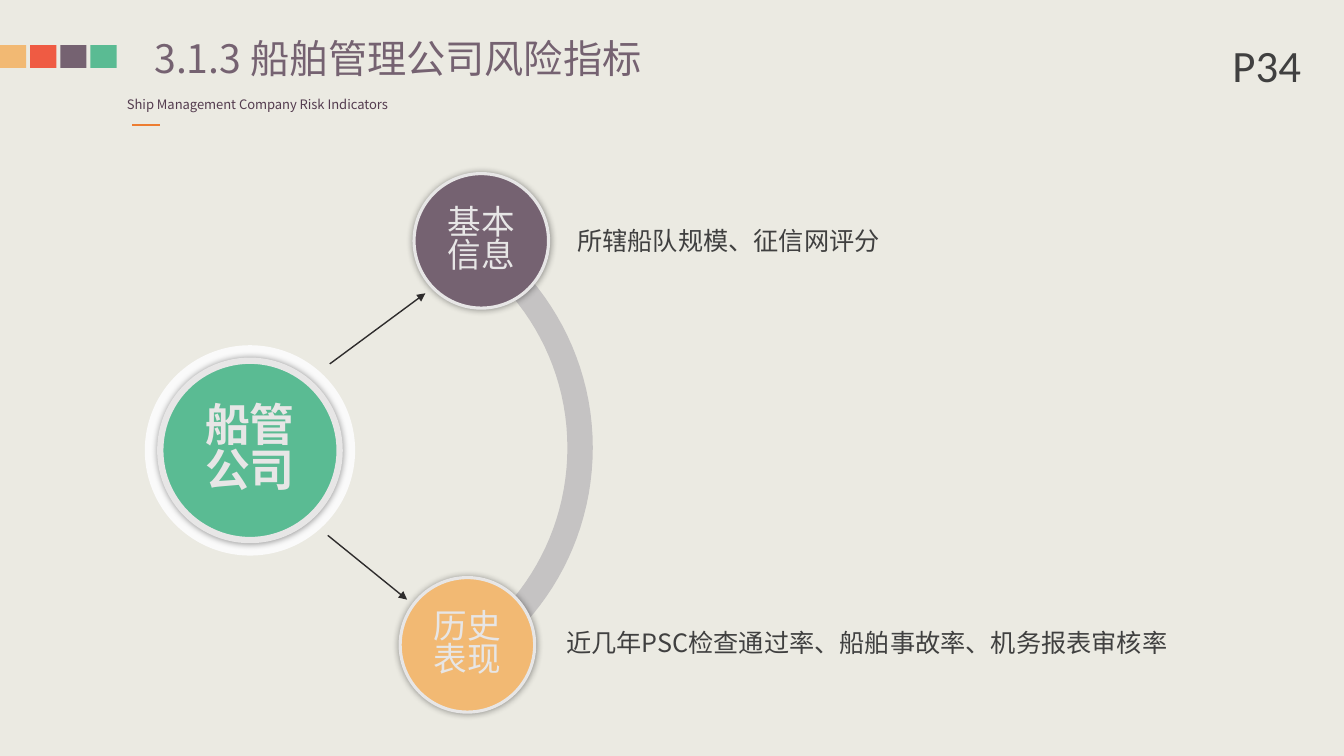
import pptx
import pptx.util
import pptx.dml.color
import pptx.enum.shapes
import pptx.enum.text
import pptx.oxml
import pptx.oxml.ns

Cm = pptx.util.Cm
Pt = pptx.util.Pt
Shape = pptx.enum.shapes.MSO_SHAPE
Align = pptx.enum.text.PP_ALIGN

HUES = {
    "paper": "EBEAE2", "gold": "F2B973", "red": "EF5B43", "plum": "756271",
    "green": "5ABB93", "wine": "543C4F", "orange": "ED7D31", "band": "C5C3C3",
    "ink": "2E2C2C", "rim": "E7E6E6", "halo": "FAFAFA", "text": "404040",
}


def curve(start, one, two, end, steps=24):
    points = []
    for step in range(1, steps + 1):
        t = step / steps
        u = 1 - t
        points.append(tuple(
            u**3 * a + 3 * u * u * t * b + 3 * u * t * t * c + t**3 * d
            for a, b, c, d in zip(start, one, two, end)))
    return points


class Deck:
    font = "Noto Sans CJK SC"

    def __init__(self, slide):
        self.slide = slide
        self.shapes = slide.shapes
        self.paint(slide.background.fill, "paper")

    def hue(self, name):
        return pptx.dml.color.RGBColor.from_string(HUES[name])

    def paint(self, fill, name):
        fill.solid()
        fill.fore_color.rgb = self.hue(name)

    def solid(self, kind, x, y, w, h, fill):
        shape = self.shapes.add_shape(kind, Cm(x), Cm(y), Cm(w), Cm(h))
        shape.shadow.inherit = False
        self.paint(shape.fill, fill)
        shape.line.fill.background()
        return shape

    def disc(self, x, y, size, fill):
        return self.solid(Shape.OVAL, x - size / 2, y - size / 2, size, size, fill)

    def text(self, words, x, y, w, h, size, color, align=Align.LEFT,
             font=None, bold=False, inset=True, wrap=True, lead=None):
        box = self.shapes.add_textbox(Cm(x), Cm(y), Cm(w), Cm(h))
        frame = box.text_frame
        frame.word_wrap = wrap
        frame.vertical_anchor = pptx.enum.text.MSO_ANCHOR.MIDDLE
        if not inset:
            frame.margin_left = frame.margin_right = 0
            frame.margin_top = frame.margin_bottom = 0
        frame.text = words
        line = frame.paragraphs[0]
        line.alignment = align
        if lead:
            line.line_spacing = lead
        style = line.runs[0].font
        style.name = font or self.font
        style.size = Pt(size)
        style.bold = bold
        style.color.rgb = self.hue(color)
        east = pptx.oxml.parse_xml(
            f'<a:ea {pptx.oxml.ns.nsdecls("a")} typeface="{self.font}"/>')
        style._element.find(pptx.oxml.ns.qn("a:latin")).addnext(east)

    def node(self, words, x, y, size, fill, rim, w, h, points, bold=False):
        disc = self.disc(x, y, size, fill)
        disc.line.color.rgb = self.hue("rim")
        disc.line.width = Pt(rim)
        glow = pptx.oxml.parse_xml(
            f'<a:outerShdw {pptx.oxml.ns.nsdecls("a")} blurRad="{Pt(5)}" dist="0" '
            'dir="0" algn="ctr" rotWithShape="0"><a:srgbClr val="000000">'
            '<a:alpha val="40000"/></a:srgbClr></a:outerShdw>')
        disc._element.spPr.find(pptx.oxml.ns.qn("a:effectLst")).append(glow)
        self.text(words, x - w / 2, y - h / 2, w, h, points, "rim",
                  Align.CENTER, bold=bold, lead=0.83)

    def line(self, start, end, color, width, arrow=False):
        line = self.shapes.add_connector(
            pptx.enum.shapes.MSO_CONNECTOR.STRAIGHT, *map(Cm, start + end))
        line.line.color.rgb = self.hue(color)
        line.line.width = Pt(width)
        names = pptx.oxml.ns.nsdecls("a")
        if arrow:
            line.line._get_or_add_ln().append(
                pptx.oxml.parse_xml(f'<a:tailEnd {names} type="triangle"/>'))
        line._element.spPr.append(pptx.oxml.parse_xml(f'<a:effectLst {names}/>'))

    def band(self, start, points, fill):
        form = self.shapes.build_freeform(*map(Cm, start))
        form.add_line_segments([tuple(map(Cm, point)) for point in points])
        shape = form.convert_to_shape()
        shape.shadow.inherit = False
        self.paint(shape.fill, fill)
        shape.line.fill.background()


def main():
    show = pptx.Presentation()
    show.slide_width, show.slide_height = Cm(33.87), Cm(19.05)
    deck = Deck(show.slides.add_slide(show.slide_layouts[6]))

    for place, fill in enumerate(("gold", "red", "plum", "green")):
        deck.solid(Shape.RECTANGLE, place * 0.76, 1.14, 0.66, 0.57, fill)
    deck.text("Ship Management Company Risk Indicators",
              2.95, 2.31, 7.47, 0.66, 9.3, "wine", wrap=False)
    deck.line((3.33, 3.15), (4.04, 3.15), "orange", 1.5)
    deck.text("3.1.3 船舶管理公司风险指标",
              3.89, 0.86, 12.88, 1.19, 28, "plum", inset=False)

    outer = curve((11.35, 6.15), (13.11, 7.19), (14.3, 9.09), (14.3, 11.28))
    outer += curve((14.3, 11.28), (14.3, 13.44), (13.16, 15.32), (11.46, 16.36))
    inner = [(11.76, 16.92)]
    inner += curve((11.76, 16.92), (13.67, 15.77), (14.94, 13.67), (14.94, 11.28))
    inner += curve((14.94, 11.28), (14.94, 8.86), (13.61, 6.73), (11.66, 5.59))
    deck.band((11.35, 6.15), outer + inner, "band")

    deck.line((8.31, 9.17), (10.72, 7.39), "ink", 1, arrow=True)
    deck.line((8.26, 13.49), (10.26, 15.11), "ink", 1, arrow=True)
    deck.node("基本信息", 12.13, 6.07, 3.39, "plum", 2.25, 2.44, 2.31, 24)
    deck.node("历史表现", 11.78, 16.25, 3.39, "gold", 2.25, 2.44, 2.31, 24)
    deck.disc(6.3, 11.35, 5.3, "halo")
    deck.node("船管公司", 6.3, 11.35, 4.52, "green", 4.5, 2.9, 3, 32, bold=True)

    deck.text("所辖船队规模、征信网评分",
              14.3, 5.54, 17.88, 1.02, 18, "text", Align.JUSTIFY)
    deck.text("近几年PSC检查通过率、船舶事故率、机务报表审核率",
              14.02, 15.67, 16.84, 1.02, 18, "text", Align.JUSTIFY)
    deck.text("P34", 30.81, 0.81, 2.34, 1.63, 32, "text", font="Calibri")
    show.save("out.pptx")


if __name__ == "__main__":
    main()
